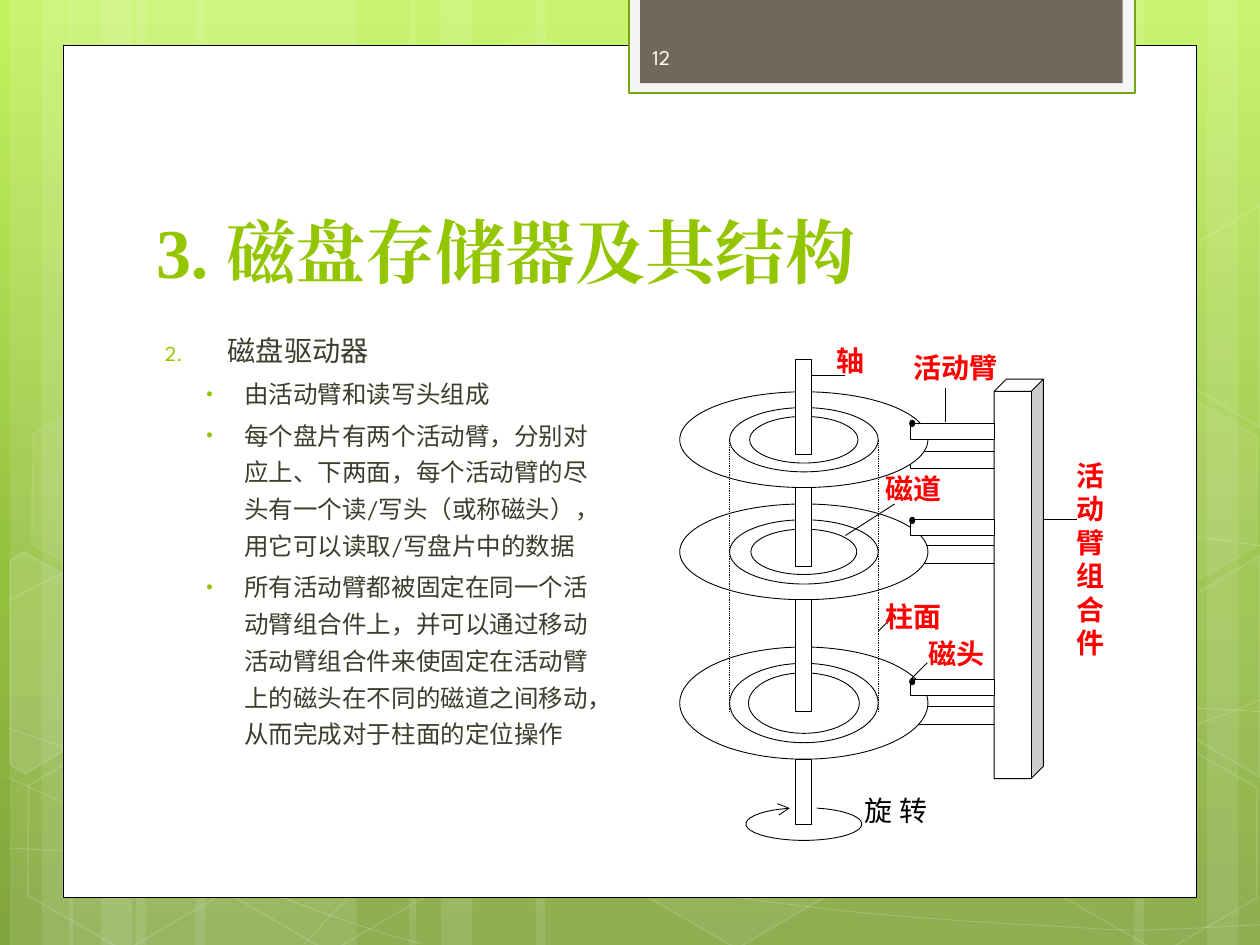
from dataclasses import dataclass
from copy import deepcopy
from math import cos, radians, sin

from lxml import etree
from pptx import Presentation
from pptx.dml.color import RGBColor
from pptx.enum.dml import MSO_LINE
from pptx.enum.shapes import MSO_CONNECTOR, MSO_SHAPE
from pptx.enum.text import MSO_ANCHOR
from pptx.oxml.ns import qn
from pptx.slide import Slide
from pptx.util import Inches, Pt

COLORS = {
    "white": "FFFFFF", "black": "000000", "red": "FF0000", "green": "94C600",
    "body": "3E3D2D", "tab": "71685A", "tab_edge": "74A510", "tab_frame": "F5F5F5",
    "number": "FEFEFE", "sky": "C3F35F", "meadow": "93BF3F", "moss": "81A53E",
}


def rgb(name):
    return RGBColor.from_string(COLORS[name])


def bezier(points, steps=12):
    """Sample a chain of cubic curves: a start point, then three points per curve."""
    path = [points[0]]
    for i in range(0, len(points) - 1, 3):
        a, b, c, d = points[i:i + 4]
        for t in (n / steps for n in range(1, steps + 1)):
            u = 1 - t
            path.append(tuple(u**3 * p + 3 * u * u * t * q + 3 * u * t * t * r + t**3 * s
                              for p, q, r, s in zip(a, b, c, d)))
    return path


@dataclass
class DiskSlide:
    slide: Slide
    heading_font: str = "Times New Roman"
    body_font: str = "League Spartan"
    label_font: str = "Arial"
    thin: float = 0.5

    def background(self, stops, angle):
        fill = self.slide.background.fill
        fill.gradient()
        fill.gradient_angle = angle
        stop_list = self.slide.element.find(".//" + qn("a:gsLst"))
        stop_list.insert(1, deepcopy(stop_list[0]))
        for stop, (position, color) in zip(fill.gradient_stops, stops):
            stop.position = position
            stop.color.rgb = rgb(color)

    def paint(self, shape, fill, line, width, alpha, line_alpha):
        shape.shadow.inherit = False
        if fill:
            shape.fill.solid()
            shape.fill.fore_color.rgb = rgb(fill)
        else:
            shape.fill.background()
        if line:
            shape.line.color.rgb = rgb(line)
            shape.line.width = Pt(width)
        else:
            shape.line.fill.background()
        for route, value in (("a:solidFill/a:srgbClr", alpha),
                             ("a:ln/a:solidFill/a:srgbClr", line_alpha)):
            for color in shape._element.spPr.xpath(route) if value else ():
                etree.SubElement(color, qn("a:alpha")).set("val", str(value * 1000))
        return shape

    def shape(self, kind, box, fill="white", line="black", width=None, alpha=None,
              line_alpha=None):
        shape = self.slide.shapes.add_shape(kind, *map(Inches, box))
        return self.paint(shape, fill, line, width or self.thin, alpha, line_alpha)

    def rect(self, *box, **style):
        return self.shape(MSO_SHAPE.RECTANGLE, box, **style)

    def ellipse(self, cx, cy, width, height, **style):
        """Ellipse placed by its centre."""
        return self.shape(MSO_SHAPE.OVAL, (cx - width / 2, cy - height / 2, width, height), **style)

    def hexagon(self, left, top, alpha, line_alpha):
        cell = self.shape(MSO_SHAPE.HEXAGON, (left, top, 1.75, 1.52), "white" if alpha else None,
                          "white", 1, alpha, line_alpha)
        cell.adjustments[0] = 0.285
        cell.rotation = 30

    def outline(self, points, fill=None, line="white", width=None, alpha=None,
                line_alpha=None, close=False):
        pts = [(Inches(x), Inches(y)) for x, y in points]
        builder = self.slide.shapes.build_freeform(*pts[0])
        builder.add_line_segments(pts[1:], close=close)
        return self.paint(builder.convert_to_shape(), fill, line, width or self.thin,
                          alpha, line_alpha)

    def line(self, x1, y1, x2, y2, dash=None):
        link = self.slide.shapes.add_connector(MSO_CONNECTOR.STRAIGHT,
                                               *map(Inches, (x1, y1, x2, y2)))
        link.line.color.rgb = rgb("black")
        link.line.width = Pt(self.thin)
        if dash:
            link.line.dash_style = dash
        etree.SubElement(link._element.spPr, qn("a:effectLst"))

    def frame(self, box, insets=(0.1, 0.05), anchor=MSO_ANCHOR.TOP):
        frame = self.slide.shapes.add_textbox(*map(Inches, box)).text_frame
        frame.word_wrap = True
        frame.vertical_anchor = anchor
        frame.margin_left = frame.margin_right = Inches(insets[0])
        frame.margin_top = frame.margin_bottom = Inches(insets[1])
        return frame

    def run(self, paragraph, text, size, font, color, bold=False):
        run = paragraph.add_run()
        run.text = text
        run.font.size, run.font.name, run.font.bold = Pt(size), font, bold
        run.font.color.rgb = rgb(color)
        latin = run._r.rPr.find(qn("a:latin"))
        east_asian = etree.Element(qn("a:ea"), typeface=font)
        latin.addnext(east_asian)

    def label(self, text, left, top, width, height=0.38, color="red", pitch=None, inset=0):
        paragraph = self.frame((left, top, width, height), (0.06, inset)).paragraphs[0]
        if pitch:
            paragraph.line_spacing = Pt(pitch)
        self.run(paragraph, text, 16, self.label_font, color, color == "red")

    def list_item(self, paragraph, text, size, pitch, margin, indent, number=None):
        props = paragraph._p.get_or_add_pPr()
        props.set("marL", str(Inches(margin)))
        props.set("indent", str(Inches(indent)))
        color = etree.SubElement(props, qn("a:buClr"))
        etree.SubElement(color, qn("a:srgbClr"), val=COLORS["green"])
        etree.SubElement(props, qn("a:buSzPct"), val="76000")
        etree.SubElement(props, qn("a:buFont"), typeface=self.body_font if number else "Arial")
        if number:
            etree.SubElement(props, qn("a:buAutoNum"), type="arabicPeriod", startAt=str(number))
        else:
            etree.SubElement(props, qn("a:buChar"), char="•")
            paragraph.space_before = Pt(2.7)
        paragraph.line_spacing = Pt(pitch)
        self.run(paragraph, text, size, self.body_font, "body")


def draw_backdrop(page):
    page.background([(0, "sky"), (0.62, "meadow"), (1, "moss")], 270)
    for left, width in ((1.08, 1.75), (0.08, 0.5), (0.33, 0.83), (1.55, 1.75), (0.55, 0.5),
                        (0.8, 0.83), (7.33, 1.75), (9.58, 0.42), (9, 0.83), (4.25, 3.08),
                        (3.25, 0.5), (3.5, 0.83)):
        page.rect(left, 0, width, 7.5, line=None, alpha=10)
    waves = (
        [(0.07, 6.73), (0.61, 6.76), (1.15, 6.79), (1.9, 6.78), (2.65, 6.77), (3.58, 6.75),
         (4.58, 6.65), (5.58, 6.55), (7, 6.36), (7.92, 6.17), (8.83, 5.98), (9.77, 5.68), (10, 5.55)],
        [(0.07, 4.77), (0.36, 4.61), (0.65, 4.46), (1.21, 4.31), (1.78, 4.16), (2.59, 3.94),
         (3.47, 3.87), (4.36, 3.8), (5.44, 3.79), (6.54, 3.87), (7.64, 3.95), (9.47, 4.26), (10, 4.33)],
        [(0.06, 6.17), (1.27, 6.72), (2.47, 7.27), (3.34, 7.49)],
        [(0.07, 5.78), (0.38, 5.89), (0.7, 6), (1.28, 6.16), (1.86, 6.31), (2.73, 6.56),
         (3.57, 6.73), (4.4, 6.9), (5.45, 7.08), (6.28, 7.18), (7.11, 7.29), (8, 7.33),
         (8.53, 7.36), (9.05, 7.4), (9.19, 7.38), (10, 7.34)],
        [(2.42, 7.49), (2.6, 7.29), (2.78, 7.09), (3.02, 6.91), (3.26, 6.73), (3.6, 6.53),
         (3.88, 6.39), (4.16, 6.25), (4.33, 6.19), (4.7, 6.09), (5.06, 5.99), (5.73, 5.85),
         (6.08, 5.78), (6.44, 5.71), (6.49, 5.71), (6.8, 5.69), (7.11, 5.66), (7.6, 5.63),
         (7.94, 5.62), (8.29, 5.61), (9.53, 5.6), (10, 5.65)],
    )
    for wave in waves:
        page.outline(bezier(wave), line_alpha=20)
    for cell in ((3.34, 0.36, 4, 8), (4.97, 5.89, 6, 12), (0.11, 5.91, None, 12),
                 (0.14, 3.12, 7, 8), (1.74, 5.92, None, 12), (7.53, 4.53, 10, 12),
                 (8.34, 5.93, None, 12), (8.34, 3.14, 7, 8)):
        page.hexagon(*cell)
    page.outline([(0.08, 4.45), (0.19, 4.38), (0.96, 4.82), (0.95, 5.7), (0.2, 6.14), (0.08, 6.07)],
                 "white", width=1, alpha=10, line_alpha=12, close=True)
    cut_cell = [(9.26, 2.07), (10, 1.63), (10, 3.39), (9.26, 2.95)]
    for drop, fill in ((2.78, "white"), (0, None)):
        page.outline([(x, y + drop) for x, y in cut_cell], fill, width=1, alpha=4,
                     line_alpha=12, close=True)
    page.rect(0.5, 0.36, 9, 6.76)
    page.rect(4.99, -0.02, 4.02, 0.76, fill="tab_frame", line="tab_edge", width=1.25)
    page.rect(5.08, -0.02, 3.83, 0.68, fill="tab", line=None)


def write_text(page):
    title = page.frame((1.14, 1.12, 7.68, 1.25), anchor=MSO_ANCHOR.BOTTOM)
    page.run(title.paragraphs[0], "3. 磁盘存储器及其结构", 40, page.heading_font, "green", True)
    number = page.frame((5.08, 0.25, 1.46, 0.4), anchor=MSO_ANCHOR.MIDDLE)
    page.run(number.paragraphs[0], "12", 12, page.body_font, "number")
    body = page.frame((1.14, 2.53, 3.74, 3.82))
    page.list_item(body.paragraphs[0], "磁盘驱动器", 16.1, 24, 0.57, -0.5, number=2)
    for point in (
        "由活动臂和读写头组成",
        "每个盘片有两个活动臂，分别对应上、下两面，每个活动臂的尽头有一个读/写头（或称磁头），用它可以读取/写盘片中的数据",
        "所有活动臂都被固定在同一个活动臂组合件上，并可以通过移动活动臂组合件来使固定在活动臂上的磁头在不同的磁道之间移动，从而完成对于柱面的定位操作",
    ):
        page.list_item(body.add_paragraph(), point, 14, 21, 0.7, -0.3)


def draw_drive(page):
    axis = 6.38
    for top in (3.58, 4.33, 5.61):
        page.rect(7.23, top, 0.77, 0.14)
    for cy, height, track, inner_width, inner in ((5.58, 0.89, 0.63, 0.88, 0.48),
                                                  (3.49, 0.76, 0.51, 0.86, 0.37),
                                                  (4.38, 0.76, 0.51, 0.84, 0.36)):
        for size in ((1.97, height), (1.18, track), (inner_width, inner)):
            page.ellipse(axis, cy, *size)
    for x in (5.79, 6.97):
        page.line(x, 3.49, x, 5.65, MSO_LINE.ROUND_DOT)
    for top, height in ((6.03, 0.51), (2.85, 0.76), (3.87, 0.63), (4.76, 0.89)):
        page.rect(6.31, top, 0.13, height)
    turn = [(axis + 0.46 * cos(radians(a)), 6.54 + 0.13 * sin(radians(a)))
            for a in range(-77, 257, 9)]
    rotation = page.outline(turn, line="black")
    etree.SubElement(rotation.line._get_or_add_ln(), qn("a:tailEnd"), type="arrow")
    page.shape(MSO_SHAPE.CUBE, (7.89, 3.01, 0.39, 3.17))
    for top, head in ((3.36, 3.36), (4.12, 4.13), (5.39, 5.41)):
        page.rect(7.23, top, 0.66, 0.13)
        page.ellipse(7.24, head, 0.04, 0.05, fill="black")
    for leader in ((7.5, 3.35, 7.5, 3.08), (7.1, 4, 6.71, 4.25), (6.97, 5.01, 7.1, 4.88),
                   (6.44, 2.98, 6.71, 2.98), (8.28, 4.12, 8.55, 4.12), (7.36, 5.26, 7.23, 5.39)):
        page.line(*leader)
    page.label("旋 转", 6.8, 6.3, 0.66, 0.28, color="black")
    page.label("活动臂", 7.19, 2.78, 0.85, 0.54)
    page.label("磁道", 6.97, 3.74, 0.66)
    page.label("柱面", 6.97, 4.76, 0.79)
    page.label("轴", 6.58, 2.73, 0.39)
    page.label("磁头", 7.31, 5, 0.79, inset=0.05)
    page.label("活动臂组合件", 8.48, 3.64, 0.32, 1.75, pitch=19.1)


def main():
    deck = Presentation()
    deck.slide_width, deck.slide_height = Inches(10), Inches(7.5)
    page = DiskSlide(deck.slides.add_slide(deck.slide_layouts[6]))
    draw_backdrop(page)
    write_text(page)
    draw_drive(page)
    deck.save("out.pptx")


if __name__ == "__main__":
    main()
